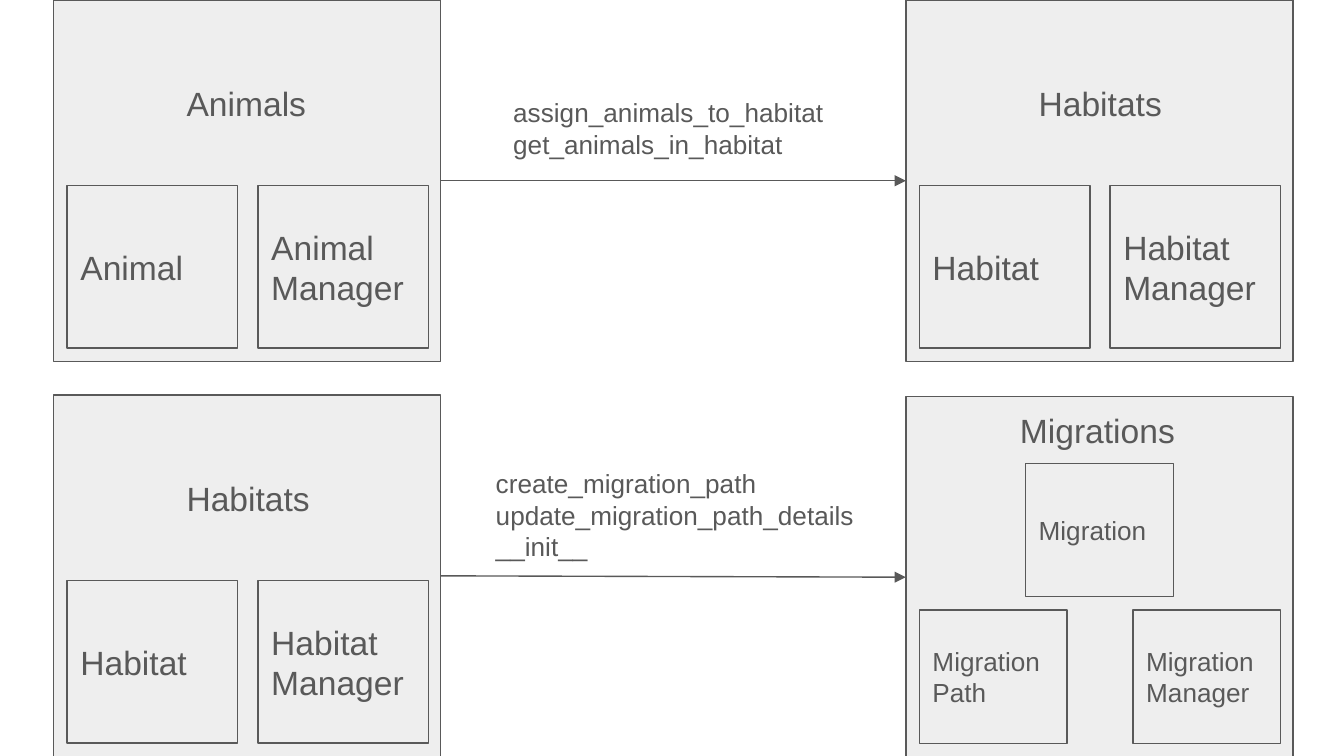
from lxml import etree
from pptx import Presentation
from pptx.dml.color import RGBColor
from pptx.enum.shapes import MSO_CONNECTOR, MSO_SHAPE
from pptx.enum.text import MSO_ANCHOR, MSO_AUTO_SIZE, PP_ALIGN
from pptx.oxml.ns import qn
from pptx.util import Inches, Pt

GRAY = RGBColor(0x59, 0x59, 0x59)
LIGHT = RGBColor(0xEE, 0xEE, 0xEE)

# Widescreen 16:9 slide
prs = Presentation()
prs.slide_width = Inches(10)
prs.slide_height = Inches(10) * 9 // 16
slide = prs.slides.add_slide(prs.slide_layouts[6])


def add_text(text, left, top, width, height, size=18, boxed=False):
    """Add text, in a bordered rectangle if boxed; \\v breaks a line."""
    place = [Inches(length) for length in (left, top, width, height)]
    if boxed:
        item = slide.shapes.add_shape(MSO_SHAPE.RECTANGLE, *place)
        item.shadow.inherit = False
        item.fill.solid()
        item.fill.fore_color.rgb = LIGHT
        item.line.color.rgb = GRAY
        item.line.width = Pt(0.75)
    else:
        item = slide.shapes.add_textbox(*place)
    frame = item.text_frame
    frame.word_wrap = True
    frame.auto_size = MSO_AUTO_SIZE.NONE if boxed else MSO_AUTO_SIZE.SHAPE_TO_FIT_TEXT
    frame.vertical_anchor = MSO_ANCHOR.MIDDLE if boxed else MSO_ANCHOR.TOP
    frame.margin_left = frame.margin_right = Inches(0.1)
    frame.margin_top = frame.margin_bottom = Inches(0.1)
    if text:
        frame.text = text
    for paragraph in frame.paragraphs:
        paragraph.alignment = PP_ALIGN.LEFT
        for run in paragraph.runs:
            run.font.name = "Arial"
            run.font.size = Pt(size)
            run.font.color.rgb = GRAY
    return item


# Modules: each holds a class and its manager
modules = []
for title, title_width, entity, left, top in (
    ("Animals", 1.1, "Animal", 0.4, 0),
    ("Habitats", 1.27, "Habitat", 6.74, 0),
    ("Habitats", 1.27, "Habitat", 0.4, 2.94),
):
    modules.append(add_text("", left, top, 2.88, 2.69, boxed=True))
    add_text(title, left + 0.89, top + 0.52, title_width, 0.5)
    for column, label in enumerate((entity, f"{entity} Manager")):
        add_text(label, left + 0.1 + 1.42 * column, top + 1.38, 1.27, 1.21, boxed=True)
animals, habitats, lower_habitats = modules

# Migrations module: three classes
migrations = add_text("", 6.74, 2.95, 2.88, 2.69, boxed=True)
add_text("Migrations", 7.49, 2.95, 1.38, 0.5)
for label, left, top in (
    ("Migration Path", 6.84, 4.54),
    ("Migration Manager", 8.43, 4.54),
    ("Migration", 7.63, 3.45),
):
    add_text(label, left, top, 1.1, 0.99, size=14, boxed=True)

# Arrows between modules
for source, target in ((animals, habitats), (lower_habitats, migrations)):
    arrow = slide.shapes.add_connector(MSO_CONNECTOR.STRAIGHT, 0, 0, 0, 0)
    arrow.begin_connect(source, 3)
    arrow.end_connect(target, 1)
    arrow.line.color.rgb = GRAY
    arrow.line.width = Pt(0.75)
    outline = arrow._element.spPr.find(qn("a:ln"))
    etree.SubElement(outline, qn("a:tailEnd"), type="triangle")
    etree.SubElement(arrow._element.spPr, qn("a:effectLst"))

# Functions named above the arrows
add_text("assign_animals_to_habitat\vget_animals_in_habitat", 3.72, 0.62, 2.59, 0.67, size=14)
add_text("create_migration_path\vupdate_migration_path_details\n__init__",
         3.59, 3.38, 2.88, 0.91, size=14)

prs.save("out.pptx")
